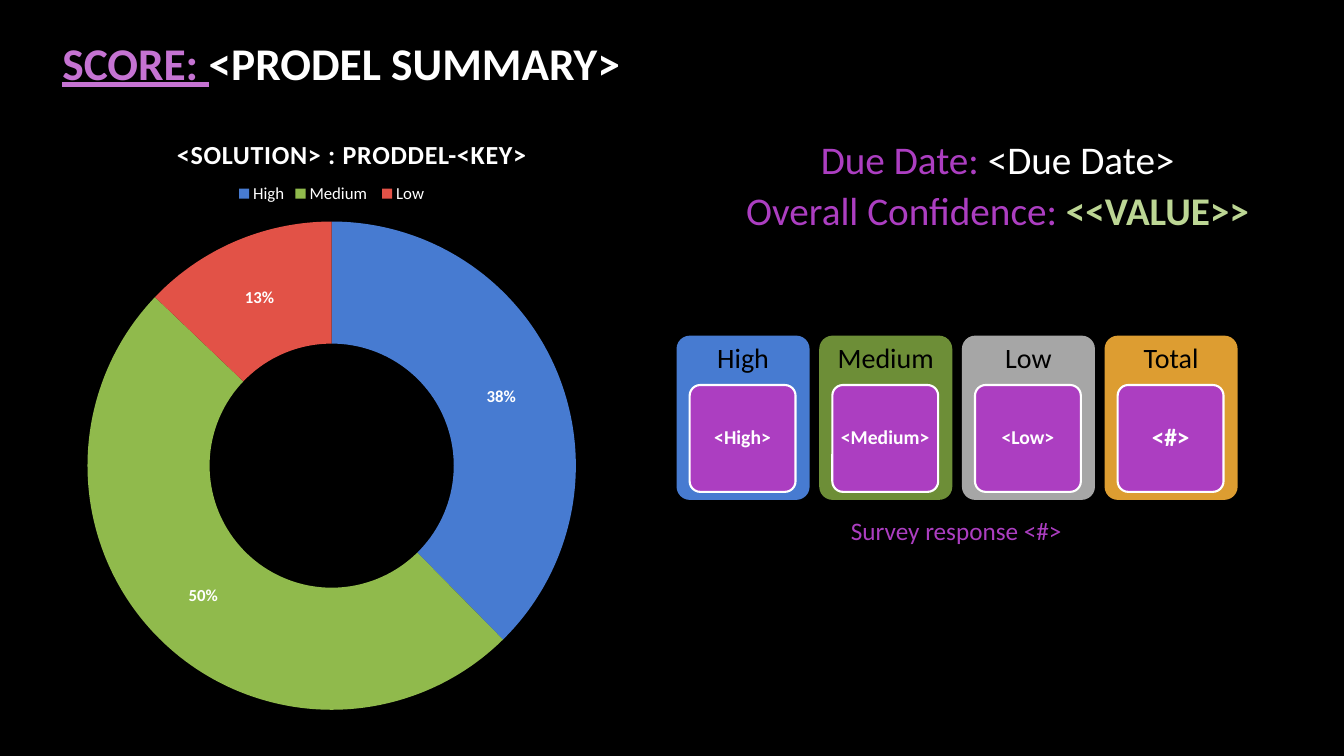
from pptx import Presentation
from pptx.chart.data import CategoryChartData
from pptx.dml.color import RGBColor
from pptx.enum.chart import XL_CHART_TYPE, XL_LEGEND_POSITION
from pptx.enum.shapes import MSO_SHAPE
from pptx.enum.text import MSO_ANCHOR, PP_ALIGN
from pptx.util import Inches, Pt

FONT = "Calibri"
BLACK = RGBColor(0x00, 0x00, 0x00)
WHITE = RGBColor(0xFF, 0xFF, 0xFF)
PURPLE = RGBColor(0xAC, 0x3E, 0xC1)
ORCHID = RGBColor(0xC5, 0x73, 0xD2)
BLUE = RGBColor(0x47, 0x7B, 0xD1)
GREEN = RGBColor(0x90, 0xBA, 0x4C)
RED = RGBColor(0xE2, 0x52, 0x47)
PALE_GREEN = RGBColor(0xBC, 0xD6, 0x94)
DARK_GREEN = RGBColor(0x6D, 0x8E, 0x37)
GRAY = RGBColor(0xA6, 0xA6, 0xA6)
ORANGE = RGBColor(0xDD, 0x9D, 0x31)


def add_run(paragraph, text, size, color, bold=False):
    run = paragraph.add_run()
    run.text = text
    run.font.name = FONT
    run.font.size = Pt(size)
    run.font.bold = bold
    run.font.color.rgb = color
    return run


def add_card(left, top, width, height, fill, insets):
    card = slide.shapes.add_shape(MSO_SHAPE.ROUNDED_RECTANGLE, Inches(left),
                                  Inches(top), Inches(width), Inches(height))
    card.adjustments[0] = 0.1
    card.shadow.inherit = False
    card.fill.solid()
    card.fill.fore_color.rgb = fill
    card.line.fill.background()
    frame = card.text_frame
    frame.word_wrap = True
    frame.vertical_anchor = MSO_ANCHOR.MIDDLE
    (frame.margin_left, frame.margin_top,
     frame.margin_right, frame.margin_bottom) = map(Inches, insets)
    frame.paragraphs[0].alignment = PP_ALIGN.CENTER
    frame.paragraphs[0].line_spacing = 0.9
    return card


prs = Presentation()
prs.slide_width, prs.slide_height = Inches(13.33), Inches(7.5)
slide = prs.slides.add_slide(prs.slide_layouts[6])
slide.background.fill.solid()
slide.background.fill.fore_color.rgb = BLACK

# Title
title = slide.shapes.add_textbox(Inches(0.52), Inches(0.4), Inches(12.29), Inches(0.43)).text_frame
title.word_wrap = True
title.vertical_anchor = MSO_ANCHOR.MIDDLE
score = add_run(title.paragraphs[0], "SCORE: ", 32.4, ORCHID, True)
score.font.underline = True
add_run(title.paragraphs[0], "<PRODEL SUMMARY>", 32.4, WHITE, True)

# Confidence doughnut
votes = CategoryChartData()
votes.categories = ["High", "Medium ", "Low"]
votes.add_series("Series 1", (38, 50, 13))
doughnut = slide.shapes.add_chart(XL_CHART_TYPE.DOUGHNUT, Inches(0.08), Inches(1.71),
                                  Inches(6.42), Inches(5.47), votes).chart
doughnut.has_title = False
doughnut.font.name = FONT
doughnut.font.size = Pt(10)
doughnut.font.color.rgb = WHITE
doughnut.has_legend = True
doughnut.legend.position = XL_LEGEND_POSITION.TOP
doughnut.legend.include_in_layout = False
doughnut.legend.font.name = FONT
doughnut.legend.font.size = Pt(12)
doughnut.legend.font.color.rgb = WHITE
ring = doughnut.plots[0]
ring.vary_by_categories = True
for index, color in enumerate((BLUE, GREEN, RED)):
    slice_fill = ring.series[0].points[index].format.fill
    slice_fill.solid()
    slice_fill.fore_color.rgb = color
ring.has_data_labels = True
labels = ring.data_labels
labels.show_percentage = True
labels.show_value = False
labels.number_format = "0%"
labels.number_format_is_linked = False
labels.font.name = FONT
labels.font.size = Pt(12)
labels.font.bold = True
labels.font.color.rgb = WHITE

# Due date, doughnut heading and survey note: place, space before, lines of runs
captions = [
    ((7.08, 1.35, 5.63, 1.03), 0.9, 6, [
        [("Due Date: ", 28, PURPLE), ("<Due Date>", 28, WHITE)],
        [("Overall Confidence: ", 28, PURPLE), ("<<VALUE>>", 28, PALE_GREEN, True)]]),
    ((0.14, 1.32, 6.7, 0.41), 1.0, 0, [[("<SOLUTION> : PRODDEL-<KEY>", 18.6, WHITE, True)]]),
    ((7.32, 5.1, 4.33, 0.37), 0.9, 6, [[("Survey response <#>", 18, PURPLE)]]),
]
for place, spacing, before, lines in captions:
    caption = slide.shapes.add_textbox(*map(Inches, place)).text_frame
    caption.word_wrap = True
    for number, line in enumerate(lines):
        paragraph = caption.add_paragraph() if number else caption.paragraphs[0]
        paragraph.alignment = PP_ALIGN.CENTER
        paragraph.line_spacing = spacing
        paragraph.space_before = Pt(before)
        for part in line:
            run = add_run(paragraph, *part)
            if part[0].startswith("<SOLUTION>"):
                run._r.get_or_add_rPr().set("spc", "50")

# Response cards, each with an inner count tile
responses = [
    ("High", BLUE, "<High>", 14),
    ("Medium", DARK_GREEN, "<Medium>", 14),
    ("Low", GRAY, "<Low>", 14),
    ("Total", ORANGE, "<#>", 18),
]
for index, (level, color, count, size) in enumerate(responses):
    left = 6.71 + index * 1.415
    card = add_card(left, 3.33, 1.32, 1.63, color, (0.04, 0.04, 0.04, 1.19))
    add_run(card.text_frame.paragraphs[0], level, 20, BLACK)
    tile = add_card(left + 0.13, 3.82, 1.05, 1.06, PURPLE, (0.03, 0.03, 0.03, 0.03))
    tile.line.color.rgb = WHITE
    tile.line.width = Pt(1.5)
    add_run(tile.text_frame.paragraphs[0], count, size, WHITE, True)

prs.save("out.pptx")
